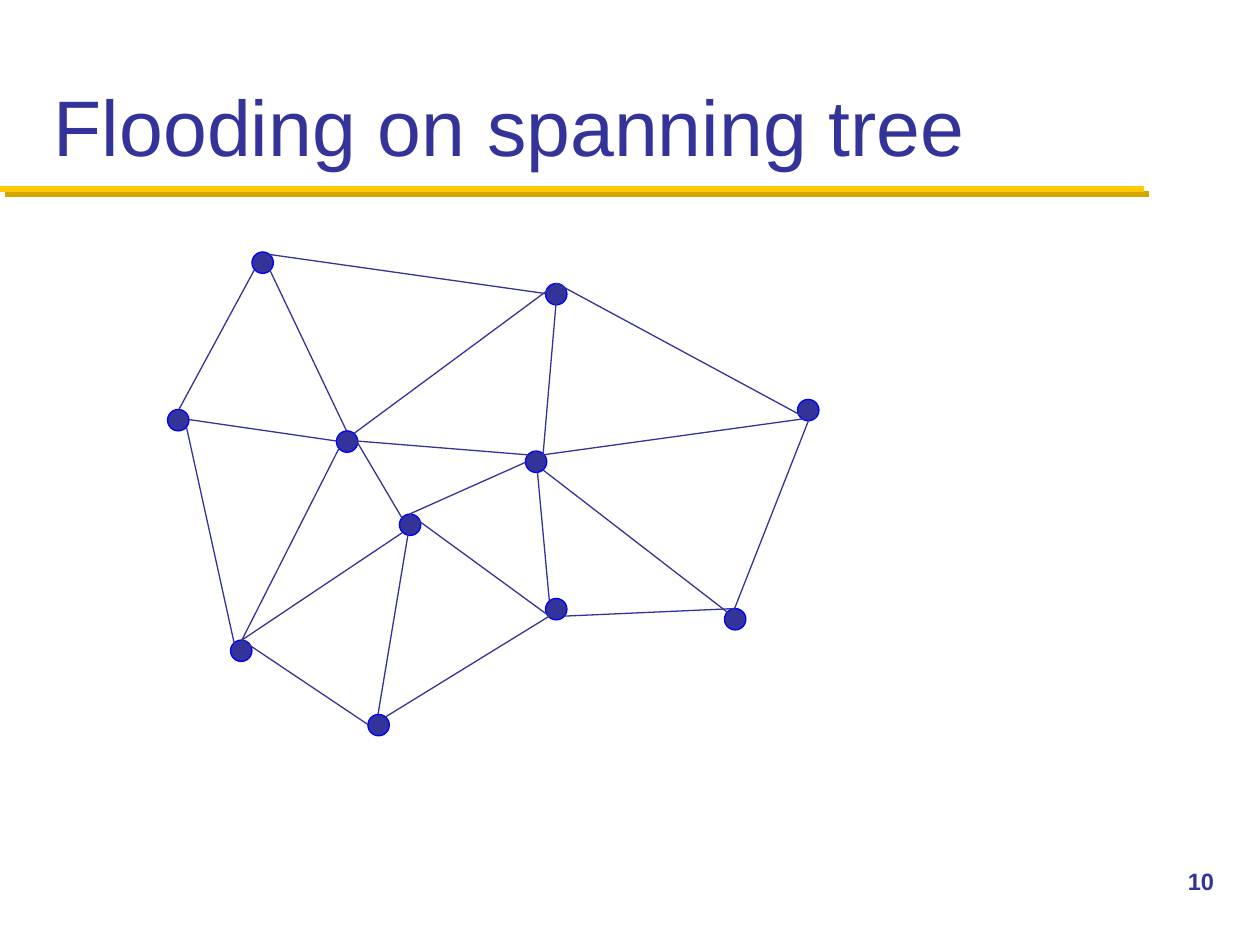
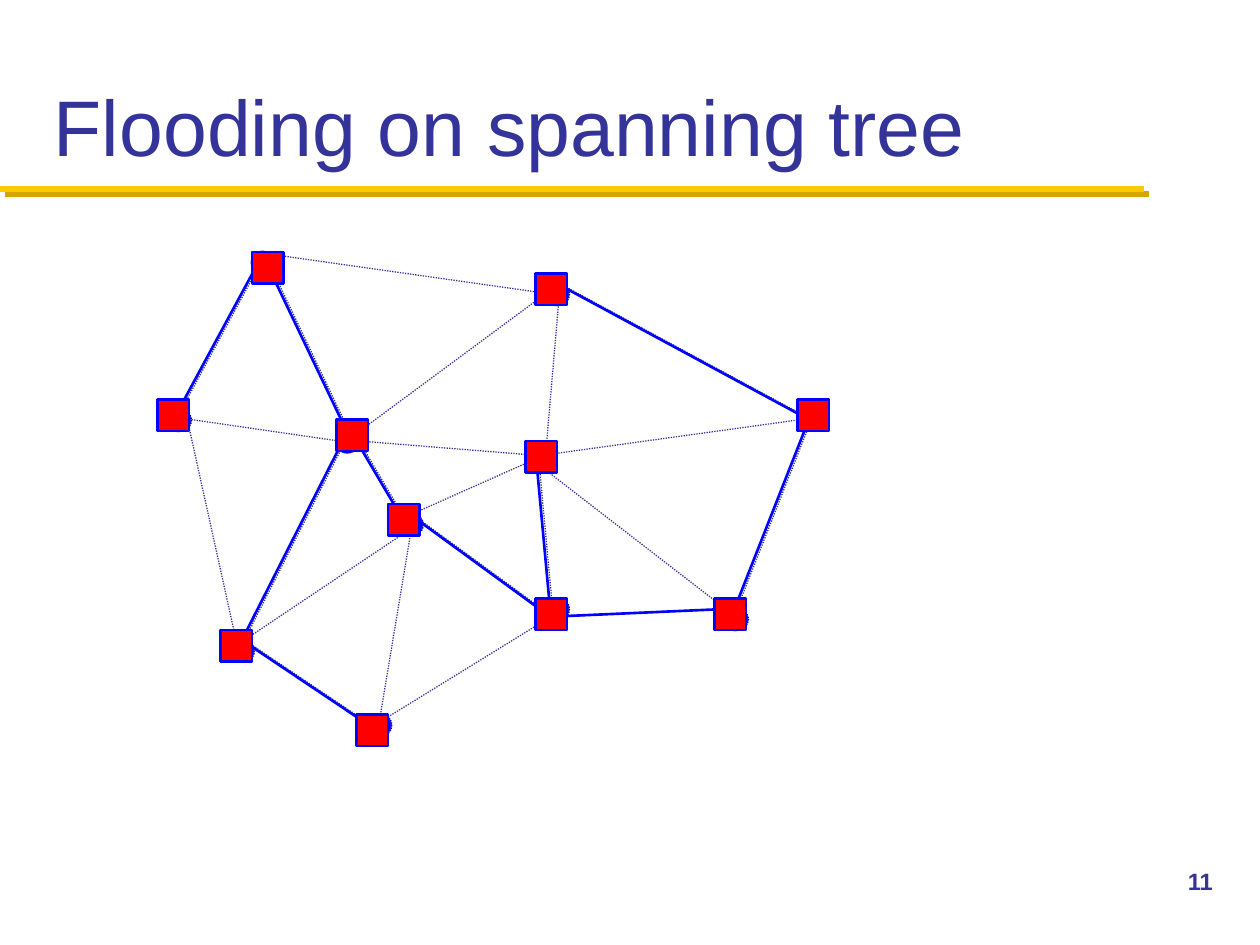
from dataclasses import dataclass

from lxml import etree
from pptx import Presentation
from pptx.dml.color import RGBColor as RGB
from pptx.enum.dml import MSO_LINE as Dash
from pptx.enum.shapes import MSO_CONNECTOR as Link, MSO_SHAPE as Shape
from pptx.enum.text import MSO_ANCHOR as Anchor
from pptx.oxml.ns import qn
from pptx.util import Inches, Pt


@dataclass(frozen=True)
class Theme:
    font: str = "Arial"
    title_size: float = 45
    number_size: float = 13.5
    navy: RGB = RGB(0x33, 0x33, 0x99)
    blue: RGB = RGB(0x00, 0x00, 0xFF)
    red: RGB = RGB(0xFF, 0x00, 0x00)
    gold: RGB = RGB(0xFF, 0xCB, 0x05)
    dark_gold: RGB = RGB(0xD3, 0xA6, 0x00)
    rule: float = 3.5
    thin: float = 0.75
    thick: float = 1.5


theme = Theme()
NODE, SQUARE = 0.17, 0.25
DOTTED_SHIFT = 0.02

# Each network node with the square that marks it once it is reached
nodes = [
    ((2.67, 3.42), (2.67, 3.33)), ((3.17, 4.08), (3.08, 4)),
    ((1.83, 5.08), (1.75, 5)), ((2, 2), (2, 2)),
    ((1.33, 3.25), (1.25, 3.17)), ((2.92, 5.67), (2.83, 5.67)),
    ((4.33, 4.75), (4.25, 4.75)), ((5.75, 4.83), (5.67, 4.75)),
    ((4.17, 3.58), (4.17, 3.5)), ((6.33, 3.17), (6.33, 3.17)),
    ((4.33, 2.25), (4.25, 2.17)),
]
node_spots = [node for node, square in nodes]
square_spots = [square for node, square in nodes]

# Links as x1, y1, x2, y2
tree_links = [
    (2.14, 2.14, 2.75, 3.42), (2.02, 2.14, 1.42, 3.25),
    (2.83, 3.5, 3.19, 4.11), (4.42, 2.25, 6.42, 3.33),
    (6.42, 3.33, 5.83, 4.83), (1.92, 5.08, 2.92, 5.75),
    (3.25, 4.08, 4.36, 4.89), (5.83, 4.83, 4.48, 4.89),
    (4.25, 3.58, 4.36, 4.77), (1.92, 5.08, 2.69, 3.56),
]
other_links = [
    (1.48, 3.39, 1.86, 5.11), (4.31, 3.73, 5.8, 4.88),
    (4.42, 2.33, 4.31, 3.61), (3.25, 4.17, 3, 5.67),
    (2.83, 3.5, 4.19, 3.61), (1.5, 3.33, 2.67, 3.5),
    (1.92, 5.08, 3.19, 4.23), (3.06, 5.69, 4.36, 4.89),
    (3.25, 4.08, 4.17, 3.67), (4.31, 3.61, 6.48, 3.31),
    (2.14, 2.02, 4.33, 2.33), (2.81, 3.44, 4.42, 2.25),
]
all_links = tree_links + other_links


def add_links(shapes, links, color, width, dash=None, shift=0):
    for x1, y1, x2, y2 in links:
        link = shapes.add_connector(Link.STRAIGHT, Inches(x1 + shift), Inches(y1),
                                    Inches(x2 + shift), Inches(y2))
        link.line.color.rgb = color
        link.line.width = Pt(width)
        if dash:
            link.line.dash_style = dash
        etree.SubElement(link._element.spPr, qn("a:effectLst"))


def add_marks(shapes, kind, spots, size, fill, width, dash=None, shift=0):
    for x, y in spots:
        mark = shapes.add_shape(kind, Inches(x + shift), Inches(y), Inches(size), Inches(size))
        mark.shadow.inherit = False
        mark.fill.solid()
        mark.fill.fore_color.rgb = fill
        mark.line.color.rgb = theme.blue
        mark.line.width = Pt(width)
        if dash:
            mark.line.dash_style = dash


deck = Presentation()
deck.slide_width, deck.slide_height = Inches(10), Inches(7.5)

for number, tree_shown in [("10", False), ("11", True)]:
    slide = deck.slides.add_slide(deck.slide_layouts[6])

    # Gold rule over its darker edge
    add_links(slide.shapes, [(0.04, 1.54, 9.12, 1.54)], theme.dark_gold, theme.rule)
    add_links(slide.shapes, [(0, 1.5, 9.08, 1.5)], theme.gold, theme.rule)

    # Whole network, dotted where the tree is laid over it
    dash, shift = (Dash.ROUND_DOT, DOTTED_SHIFT) if tree_shown else (None, 0)
    network = slide.shapes.add_group_shape().shapes
    add_marks(network, Shape.OVAL, node_spots, NODE, theme.navy, theme.thin, dash, shift)
    add_links(network, all_links, theme.navy, theme.thin, dash, shift)

    # Title and slide number
    for text, box, size, bold, anchor in [
        ("Flooding on spanning tree", (0.33, 0.17, 9.33, 1.25),
         theme.title_size, False, Anchor.BOTTOM),
        (number, (9.33, 6.83, 0.67, 0.5), theme.number_size, True, Anchor.TOP),
    ]:
        frame = slide.shapes.add_textbox(*map(Inches, box)).text_frame
        frame.word_wrap = True
        frame.vertical_anchor = anchor
        run = frame.paragraphs[0].add_run()
        run.text = text
        run.font.name, run.font.size, run.font.bold = theme.font, Pt(size), bold
        run.font.color.rgb = theme.navy

    # Spanning tree and the reached nodes
    if tree_shown:
        add_marks(slide.shapes, Shape.OVAL, node_spots, NODE, theme.navy, theme.thick)
        add_links(slide.shapes, tree_links, theme.blue, theme.thick)
        add_marks(slide.shapes, Shape.RECTANGLE, square_spots, SQUARE, theme.red, theme.thick)

deck.save("out.pptx")
